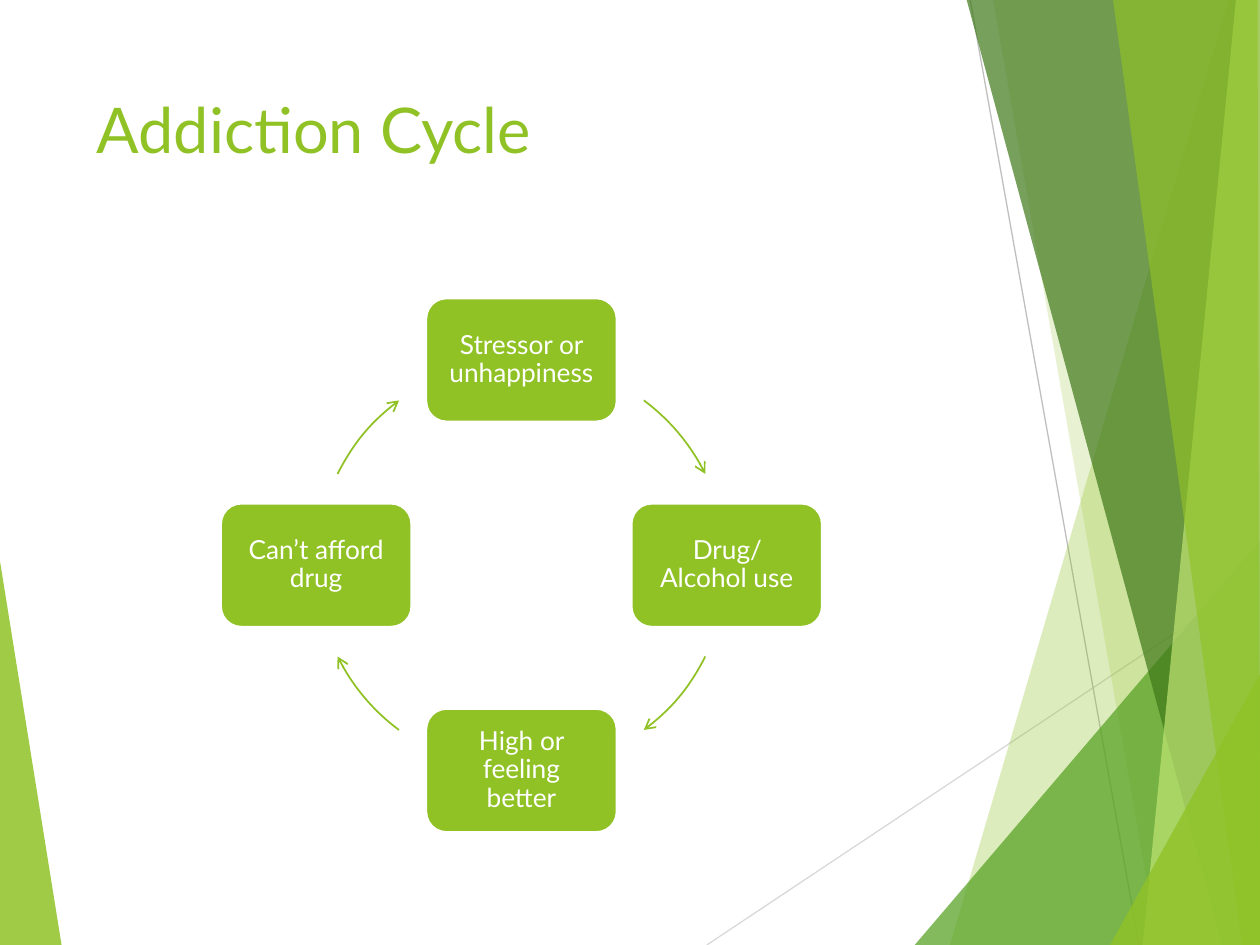
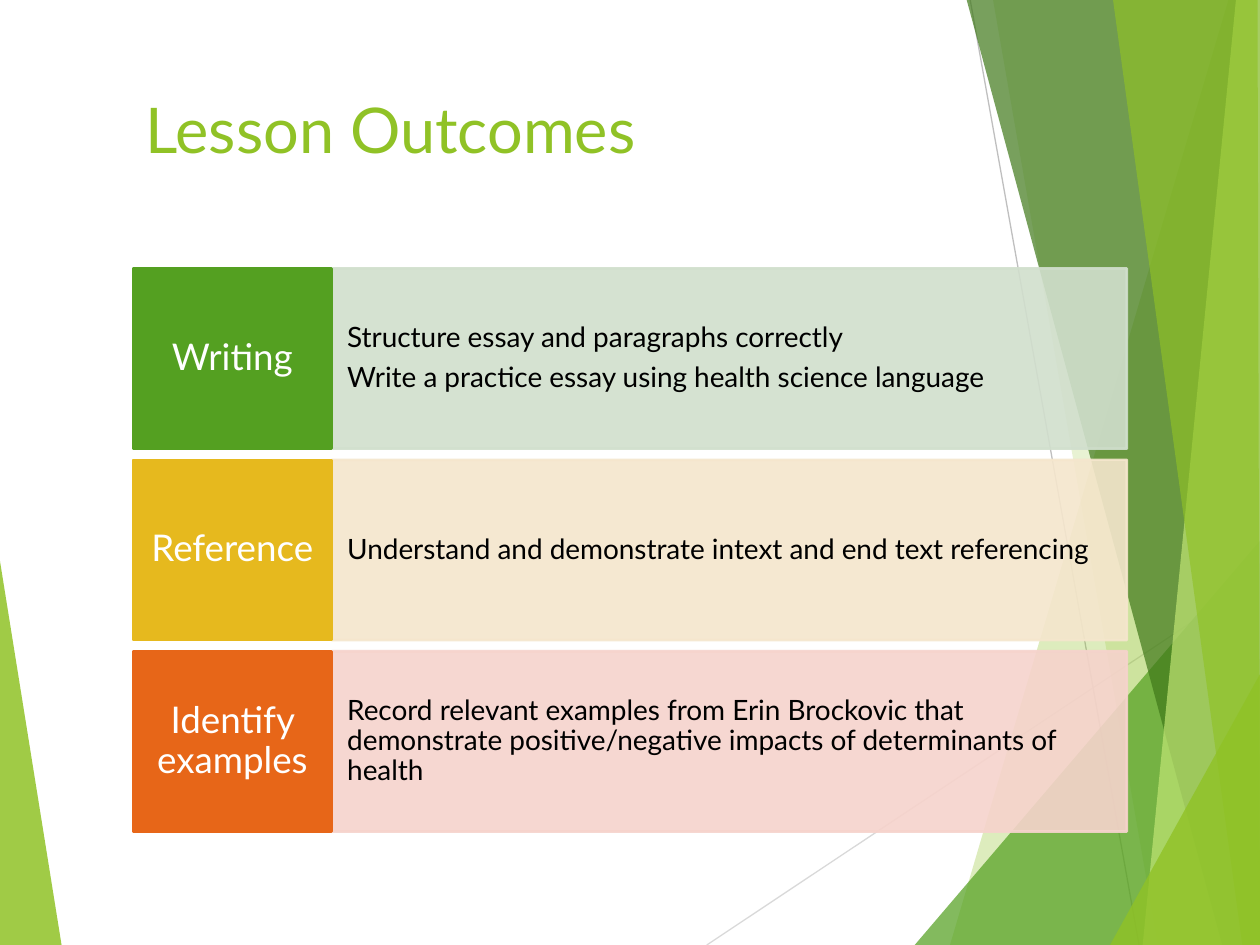
import dataclasses

import lxml.etree
import pptx
import pptx.dml.color
import pptx.enum.shapes
import pptx.enum.text
import pptx.oxml.ns
import pptx.util

Pt = pptx.util.Pt
qn = pptx.oxml.ns.qn
Kind = pptx.enum.shapes.MSO_SHAPE
Align = pptx.enum.text.PP_ALIGN
Anchor = pptx.enum.text.MSO_ANCHOR


@dataclasses.dataclass(frozen=True)
class Theme:
    font: str = "Lato"
    lime: str = "90C226"
    green: str = "54A021"
    forest: str = "3F7819"
    pale: str = "C0E474"
    gold: str = "E6B91E"
    rust: str = "E76618"
    mint: str = "D1DFCD"
    cream: str = "F5E6CD"
    rose: str = "F6D3CC"
    mist: str = "D9D9D9"
    grey: str = "BFBFBF"
    white: str = "FFFFFF"
    black: str = "000000"
    title: int = 36
    label: int = 21
    body: int = 16
    step: int = 15


theme = Theme()
wide, high = 720, 540

wedge = (theme.lime, 85, [(0, 320.5), (35.2, high), (0, high)])
rays = [
    (theme.mist, (403.9, high), (wide, 329.5)),
    (theme.grey, (554.4, 0), (650.9, high)),
]
facets = [
    (theme.lime, 30, [(702, 0), (542.9, high), (wide, high), (wide, 0)]),
    (theme.lime, 20, [(567.5, 0), (661.7, high), (wide, high), (wide, 0)]),
    (theme.green, 72, [(522.7, high), (wide, 309), (wide, high)]),
    (theme.forest, 70, [(552.4, 0), (698.4, high), (wide, high), (wide, 0)]),
    (theme.pale, 70, [(706.3, 0), (653, high), (wide, high), (wide, 0)]),
    (theme.lime, 65, [(636, 0), (709.9, high), (wide, high), (718.6, 0)]),
    (theme.lime, 80, [(634.3, high), (wide, 385.2), (wide, high)]),
]

cycle = {
    "title": "Addiction Cycle",
    "frame": (48, 48, 500, 104),
    "steps": [
        ("Stressor or unhappiness", 0, -1),
        ("Drug/Alcohol use", 1, 0),
        ("High or feeling better", 0, 1),
        ("Can’t afford drug", -1, 0),
    ],
    "arcs": [-39.9, 39.9, 140.1, 219.9],
}

goals = {
    "title": "Lesson Outcomes",
    "frame": (76, 48, 602, 86),
    "rows": [
        ("Writing", theme.green, theme.mint, [
            "Structure essay and paragraphs correctly",
            "Write a practice essay using health science language",
        ]),
        ("Reference", theme.gold, theme.cream, [
            "Understand and demonstrate intext and end text referencing",
        ]),
        ("Identify examples", theme.rust, theme.rose, [
            "Record relevant examples from Erin Brockovic that demonstrate "
            "positive/negative impacts of determinants of health",
        ]),
    ],
}


def rgb(code):
    return pptx.dml.color.RGBColor.from_string(code)


def fade(shape, alpha):
    for tint in shape._element.spPr.iter(qn("a:srgbClr")):
        lxml.etree.SubElement(tint, qn("a:alpha"), val=str(alpha * 1000))


def stroke(shape, color, width):
    shape.line.color.rgb = rgb(color)
    shape.line.width = Pt(width)


def add_text(par, text, size, color):
    run = par.add_run()
    run.text = text
    run.font.name = theme.font
    run.font.size = Pt(size)
    run.font.color.rgb = rgb(color)


def add_box(slide, kind, box, fill, edge, texts, size, color, align, pads):
    shape = slide.shapes.add_shape(kind, *map(Pt, box))
    shape.shadow.inherit = False
    shape.fill.solid()
    shape.fill.fore_color.rgb = rgb(fill)
    stroke(shape, edge, 1.5)
    frame = shape.text_frame
    frame.word_wrap = True
    frame.vertical_anchor = Anchor.MIDDLE
    frame.margin_left = frame.margin_right = Pt(pads[0])
    frame.margin_top = frame.margin_bottom = Pt(pads[1])
    for place, text in enumerate(texts):
        par = frame.add_paragraph() if place else frame.paragraphs[0]
        par.alignment = align
        par.line_spacing = 0.9
        par.space_after = Pt(size * 0.35)
        add_text(par, text, size, color)
    return shape


def add_facet(slide, color, alpha, points):
    first, *rest = [(Pt(x), Pt(y)) for x, y in points]
    pen = slide.shapes.build_freeform(*first)
    pen.add_line_segments(rest, close=True)
    shape = pen.convert_to_shape()
    shape.shadow.inherit = False
    shape.fill.solid()
    shape.fill.fore_color.rgb = rgb(color)
    shape.line.fill.background()
    fade(shape, alpha)


def add_ray(slide, color, start, end):
    ray = slide.shapes.add_connector(
        pptx.enum.shapes.MSO_CONNECTOR.STRAIGHT, *map(Pt, start + end))
    stroke(ray, color, 0.75)
    lxml.etree.SubElement(ray._element.spPr, qn("a:effectLst"))


def add_arc(slide, box, middle, sweep):
    arc = slide.shapes.add_shape(Kind.ARC, *map(Pt, box))
    arc.shadow.inherit = False
    arc.fill.background()
    for place, angle in enumerate((middle - sweep / 2, middle + sweep / 2)):
        arc.adjustments[place] = angle % 360 * 0.6
    stroke(arc, theme.lime, 1)
    edge = arc._element.spPr.find(qn("a:ln"))
    lxml.etree.SubElement(edge, qn("a:tailEnd"), type="arrow")


def add_slide(deck, data):
    slide = deck.slides.add_slide(deck.slide_layouts[5])
    add_facet(slide, *wedge)
    for ray in rays:
        add_ray(slide, *ray)
    for facet in facets:
        add_facet(slide, *facet)
    title = slide.shapes.title
    title.left, title.top, title.width, title.height = map(Pt, data["frame"])
    frame = title.text_frame
    frame.auto_size = pptx.enum.text.MSO_AUTO_SIZE.NONE
    frame.vertical_anchor = Anchor.TOP
    par = frame.paragraphs[0]
    par.alignment = Align.LEFT
    add_text(par, data["title"], theme.title, theme.lime)
    return slide


def draw_cycle(deck):
    slide = add_slide(deck, cycle)
    mid_x, mid_y, reach = 298, 323, 117.3
    width, height = 109.2, 70.8
    for text, across, down in cycle["steps"]:
        box = (mid_x + across * reach - width / 2,
               mid_y + down * reach - height / 2, width, height)
        add_box(slide, Kind.ROUNDED_RECTANGLE, box, theme.lime, theme.white,
                [text], theme.step, theme.white, Align.CENTER, (8, 8))
    ring = (mid_x - reach, mid_y - reach, 2 * reach, 2 * reach)
    for middle in cycle["arcs"]:
        add_arc(slide, ring, middle, 27)


def draw_goals(deck):
    slide = add_slide(deck, goals)
    left, top, height, pitch = 76, 153.4, 103, 109.4
    split, span = 113.6, 454.3
    for place, (label, dark, light, lines) in enumerate(goals["rows"]):
        y = top + place * pitch
        panel = add_box(slide, Kind.RECTANGLE, (left + split, y, span, height),
                        light, light, lines, theme.body, theme.black,
                        Align.LEFT, (8.8, 26))
        fade(panel.fill and panel, 90)
        add_box(slide, Kind.RECTANGLE, (left, y, split, height), dark, dark,
                [label], theme.label, theme.white, Align.CENTER, (6, 10))


def main():
    deck = pptx.Presentation()
    deck.slide_width, deck.slide_height = Pt(wide), Pt(high)
    draw_cycle(deck)
    draw_goals(deck)
    deck.save("out.pptx")


if __name__ == "__main__":
    main()
